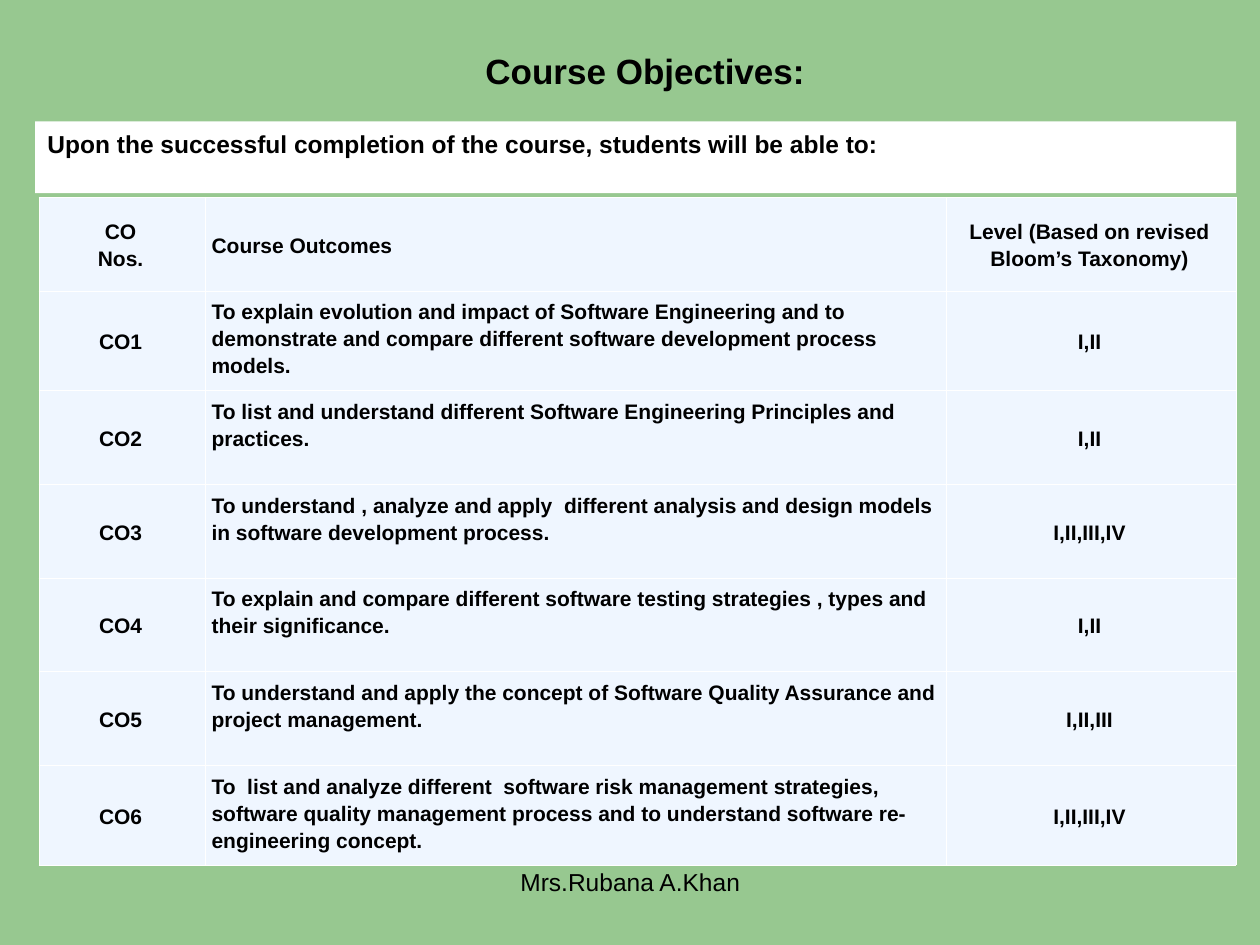
from lxml import etree
from pptx import Presentation
from pptx.dml.color import RGBColor
from pptx.enum.shapes import MSO_SHAPE
from pptx.enum.text import MSO_ANCHOR, PP_ALIGN
from pptx.oxml.ns import qn
from pptx.util import Pt

LEFT, CENTER = PP_ALIGN.LEFT, PP_ALIGN.CENTER
TOP, MIDDLE = MSO_ANCHOR.TOP, MSO_ANCHOR.MIDDLE
RECTANGLE = MSO_SHAPE.RECTANGLE
TITLE_ONLY = 5

GREEN, PALE_BLUE, WHITE, BLACK = "97C890", "EFF6FF", "FFFFFF", "000000"
FONT = "Arial"

TITLE = "Course Objectives:"
INTRO = "Upon the successful completion of the course, students will be able to:"
TEACHER = "Mrs.Rubana A.Khan"
HEADER = ("CO\nNos.", "Course Outcomes", "Level (Based on revised Bloom’s Taxonomy)")
OUTCOMES = [
    ("To explain evolution and impact of Software Engineering and to demonstrate "
     "and compare different software development process models.", "I,II"),
    ("To list and understand different Software Engineering Principles and practices.", "I,II"),
    ("To understand , analyze and apply  different analysis and design models "
     "in software development process.", "I,II,III,IV"),
    ("To explain and compare different software testing strategies , types "
     "and their significance.", "I,II"),
    ("To understand and apply the concept of Software Quality Assurance "
     "and project management.", "I,II,III"),
    ("To  list and analyze different  software risk management strategies, software "
     "quality management process and to understand software re-engineering concept.",
     "I,II,III,IV"),
]
ROWS = [HEADER] + [(f"CO{number}", *outcome) for number, outcome in enumerate(OUTCOMES, 1)]
COLUMN_WIDTHS = (95, 423.4, 165.6)
ROW_HEIGHT = 53.57


def color(value):
    return RGBColor.from_string(value)


def paint(target, value):
    target.fill.solid()
    target.fill.fore_color.rgb = color(value)


def write(frame, text, size, bold, align, spacing=None):
    frame.text = text
    frame.word_wrap = True
    for para in frame.paragraphs:
        para.alignment = align
        para.line_spacing = spacing
        for span in para.runs:
            span.font.name = FONT
            span.font.size = Pt(size)
            span.font.bold = bold
            span.font.color.rgb = color(BLACK)


def outline(cell, value, width):
    properties = cell._tc.get_or_add_tcPr()
    for index, side in enumerate(("a:lnL", "a:lnR", "a:lnT", "a:lnB")):
        line = etree.Element(qn(side), w=str(Pt(width)))
        fill = etree.SubElement(line, qn("a:solidFill"))
        etree.SubElement(fill, qn("a:srgbClr"), val=value)
        properties.insert(index, line)


deck = Presentation()
deck.slide_width, deck.slide_height = Pt(720), Pt(540)
page = deck.slides.add_slide(deck.slide_layouts[TITLE_ONLY])
paint(page.background, GREEN)

title = page.shapes.title
title.left, title.top, title.width, title.height = Pt(36.7), Pt(20), Pt(664), Pt(40)
write(title.text_frame, TITLE, 20, True, CENTER)
title.text_frame.vertical_anchor = MIDDLE

teacher = page.shapes.add_textbox(Pt(246.2), Pt(491.8), Pt(228), Pt(37.4))
write(teacher.text_frame, TEACHER, 14, False, CENTER)

table = page.shapes.add_table(
    len(ROWS), len(COLUMN_WIDTHS), Pt(22.3), Pt(112.7),
    Pt(sum(COLUMN_WIDTHS)), Pt(ROW_HEIGHT * len(ROWS))).table
for column, width in zip(table.columns, COLUMN_WIDTHS):
    column.width = Pt(width)
for row_index, row in enumerate(ROWS):
    table.rows[row_index].height = Pt(ROW_HEIGHT)
    for column_index, text in enumerate(row):
        cell = table.cell(row_index, column_index)
        is_outcome = row_index > 0 and column_index == 1
        write(cell.text_frame, text, 12, True, LEFT if column_index == 1 else CENTER, 1.15)
        cell.vertical_anchor = TOP if is_outcome else MIDDLE
        cell.margin_left = cell.margin_top = cell.margin_bottom = Pt(3.6)
        cell.margin_right = Pt(5.4)
        paint(cell, PALE_BLUE)
        outline(cell, WHITE, 0.45)

banner = page.shapes.add_shape(RECTANGLE, Pt(20), Pt(69.4), Pt(686.4), Pt(41))
banner.shadow.inherit = False
paint(banner, WHITE)
banner.line.fill.background()
write(banner.text_frame, INTRO, 14, True, LEFT)
banner.text_frame.vertical_anchor = TOP
banner.text_frame.margin_top = Pt(4.5)

deck.save("out.pptx")
